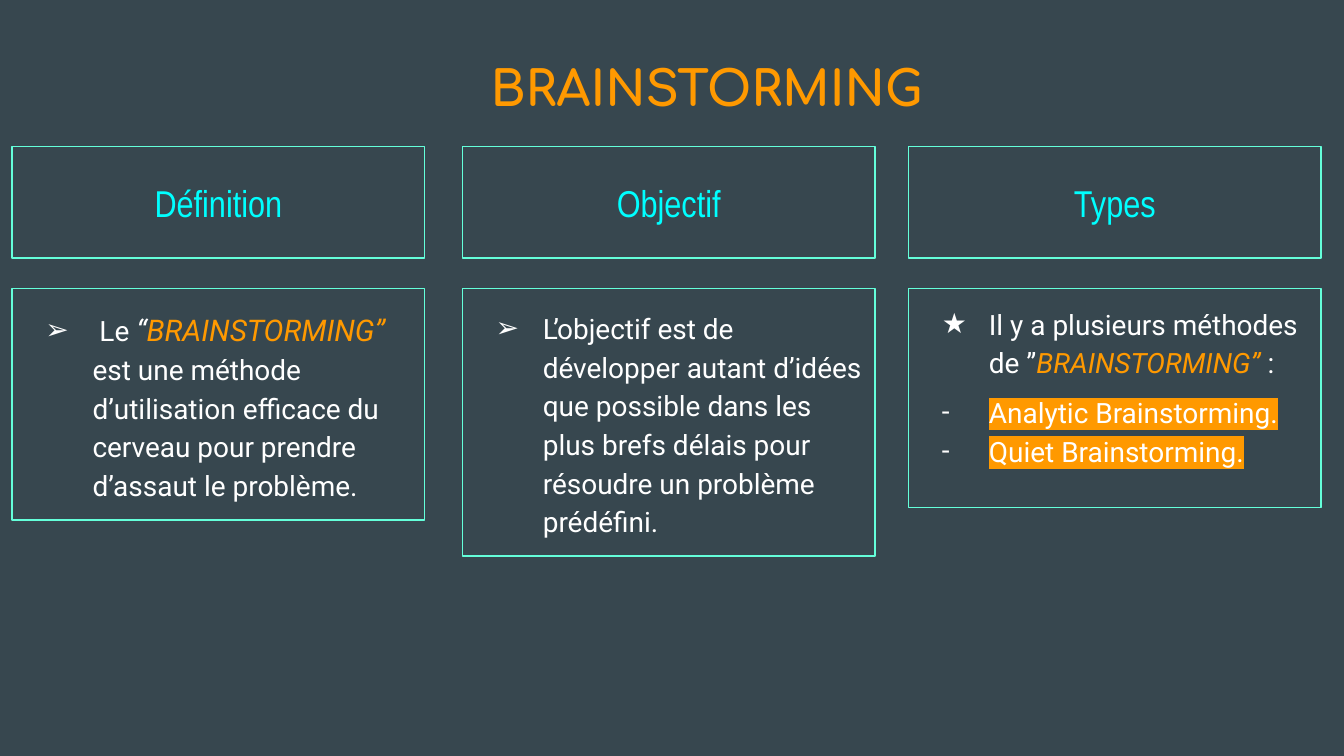
from dataclasses import dataclass

from lxml import etree
from pptx import Presentation
from pptx.dml.color import RGBColor
from pptx.enum.shapes import MSO_SHAPE
from pptx.enum.text import MSO_ANCHOR, MSO_AUTO_SIZE, PP_ALIGN
from pptx.oxml.ns import qn
from pptx.util import Cm, Pt

RECTANGLE = MSO_SHAPE.RECTANGLE
MIDDLE, TOP = MSO_ANCHOR.MIDDLE, MSO_ANCHOR.TOP
CENTER, LEFT = PP_ALIGN.CENTER, PP_ALIGN.LEFT
NO_AUTO_SIZE = MSO_AUTO_SIZE.NONE
TITLE_ONLY = 5


@dataclass(frozen=True)
class Theme:
    """Colours, fonts and sizes of the slide."""
    background: str = "37474F"
    border: str = "64FFDA"
    heading: str = "00FFFF"
    accent: str = "FF9900"
    text: str = "FFFFFF"
    title_font: str = "Comfortaa"
    heading_font: str = "Arial Narrow"
    body_font: str = "Roboto"
    title_size: float = 26
    heading_size: float = 20
    large_size: float = 16
    body_size: float = 15
    line_spacing: float = 1.15


THEME = Theme()


@dataclass(frozen=True)
class Span:
    """A piece of text with one look."""
    text: str
    size: float = THEME.body_size
    color: str = THEME.text
    font: str = THEME.body_font
    bold: bool = False
    italic: bool = False
    highlight: str = ""


@dataclass(frozen=True)
class Item:
    """A bulleted paragraph."""
    bullet: str
    spans: tuple
    before: float = 6
    after: float = 0


@dataclass(frozen=True)
class Column:
    """A heading box with a body box below it."""
    left: float
    heading: str
    body_height: float
    items: tuple
    anchor: MSO_ANCHOR = MIDDLE


COLUMN_WIDTH = 7.8
HEADING_TOP, HEADING_HEIGHT = 2.77, 2.11
BODY_TOP = 5.46

COLUMNS = (
    Column(0.23, "Définition", 4.37, (
        Item("➢", (
            Span(" Le "),
            Span("“", THEME.large_size, italic=True),
            Span("BRAINSTORMING” ", THEME.large_size, THEME.accent, italic=True),
            Span("est une méthode d’utilisation efficace du cerveau "
                 "pour prendre d’assaut le problème."),
        )),
    )),
    Column(8.74, "Objectif", 5.05, (
        Item("➢", (
            Span("L’objectif est de développer autant d’idées que possible dans "
                 "les plus brefs délais pour résoudre un problème prédéfini."),
        ), after=6),
    )),
    Column(17.17, "Types", 4.14, (
        Item("★", (
            Span("Il y a plusieurs méthodes de ”"),
            Span("BRAINSTORMING”", color=THEME.accent, italic=True),
            Span(" :"),
        )),
        Item("-", (Span("Analytic Brainstorming.", highlight=THEME.accent),)),
        Item("-", (Span("Quiet Brainstorming.", highlight=THEME.accent),), before=0),
    ), TOP),
)


def rgb(color):
    """Turn a hex string into a colour."""
    return RGBColor.from_string(color)


def add_span(paragraph, span):
    """Add one formatted run to a paragraph."""
    run = paragraph.add_run()
    run.text = span.text
    font = run.font
    font.name, font.size = span.font, Pt(span.size)
    font.bold, font.italic = span.bold, span.italic
    font.color.rgb = rgb(span.color)
    if span.highlight:
        highlight = etree.Element(qn("a:highlight"))
        etree.SubElement(highlight, qn("a:srgbClr"), val=span.highlight)
        font.fill
        run.font._element.find(qn("a:solidFill")).addnext(highlight)


def set_bullet(paragraph, bullet):
    """Give a paragraph a bullet with a hanging indent."""
    properties = paragraph._p.get_or_add_pPr()
    properties.set("marL", str(Cm(1.27)))
    properties.set("indent", str(Cm(-0.89)))
    color = etree.SubElement(properties, qn("a:buClr"))
    etree.SubElement(color, qn("a:srgbClr"), val=THEME.text)
    etree.SubElement(properties, qn("a:buFont"), typeface=THEME.body_font)
    etree.SubElement(properties, qn("a:buChar"), char=bullet)


def prepare_frame(shape, anchor=MIDDLE):
    """Set insets, wrapping and anchor, and return the text frame."""
    frame = shape.text_frame
    frame.word_wrap = True
    frame.auto_size = NO_AUTO_SIZE
    frame.vertical_anchor = anchor
    frame.margin_left = frame.margin_right = Cm(0.25)
    frame.margin_top = frame.margin_bottom = Cm(0.25)
    return frame


def add_title(slide, text):
    """Place and format the slide title."""
    title = slide.shapes.title
    title.left, title.top = Cm(3.2), Cm(0.38)
    title.width, title.height = Cm(20.32), Cm(2.36)
    paragraph = prepare_frame(title).paragraphs[0]
    paragraph.alignment = CENTER
    paragraph.line_spacing = THEME.line_spacing
    add_span(paragraph, Span(text, THEME.title_size, THEME.accent,
                             THEME.title_font, bold=True))


def add_box(slide, left, top, height, anchor=MIDDLE):
    """Add an outlined box and return its text frame."""
    box = slide.shapes.add_shape(RECTANGLE, Cm(left), Cm(top),
                                 Cm(COLUMN_WIDTH), Cm(height))
    box.shadow.inherit = False
    box.fill.background()
    box.line.color.rgb = rgb(THEME.border)
    box.line.width = Pt(0.75)
    return prepare_frame(box, anchor)


def add_heading(slide, column):
    """Add the heading box of a column."""
    frame = add_box(slide, column.left, HEADING_TOP, HEADING_HEIGHT)
    paragraph = frame.paragraphs[0]
    paragraph.alignment = CENTER
    add_span(paragraph, Span(column.heading, THEME.heading_size,
                             THEME.heading, THEME.heading_font))


def add_body(slide, column):
    """Add the bulleted box of a column."""
    frame = add_box(slide, column.left, BODY_TOP, column.body_height, column.anchor)
    for index, item in enumerate(column.items):
        paragraph = frame.add_paragraph() if index else frame.paragraphs[0]
        paragraph.alignment = LEFT
        paragraph.line_spacing = THEME.line_spacing
        paragraph.space_before = Pt(item.before)
        paragraph.space_after = Pt(item.after)
        set_bullet(paragraph, item.bullet)
        for span in item.spans:
            add_span(paragraph, span)


def main():
    """Build the slide and save it."""
    presentation = Presentation()
    presentation.slide_width, presentation.slide_height = Cm(25.4), Cm(14.29)
    slide = presentation.slides.add_slide(presentation.slide_layouts[TITLE_ONLY])
    slide.background.fill.solid()
    slide.background.fill.fore_color.rgb = rgb(THEME.background)
    add_title(slide, "BRAINSTORMING")
    for column in COLUMNS:
        add_heading(slide, column)
        add_body(slide, column)
    presentation.save("out.pptx")


if __name__ == "__main__":
    main()
